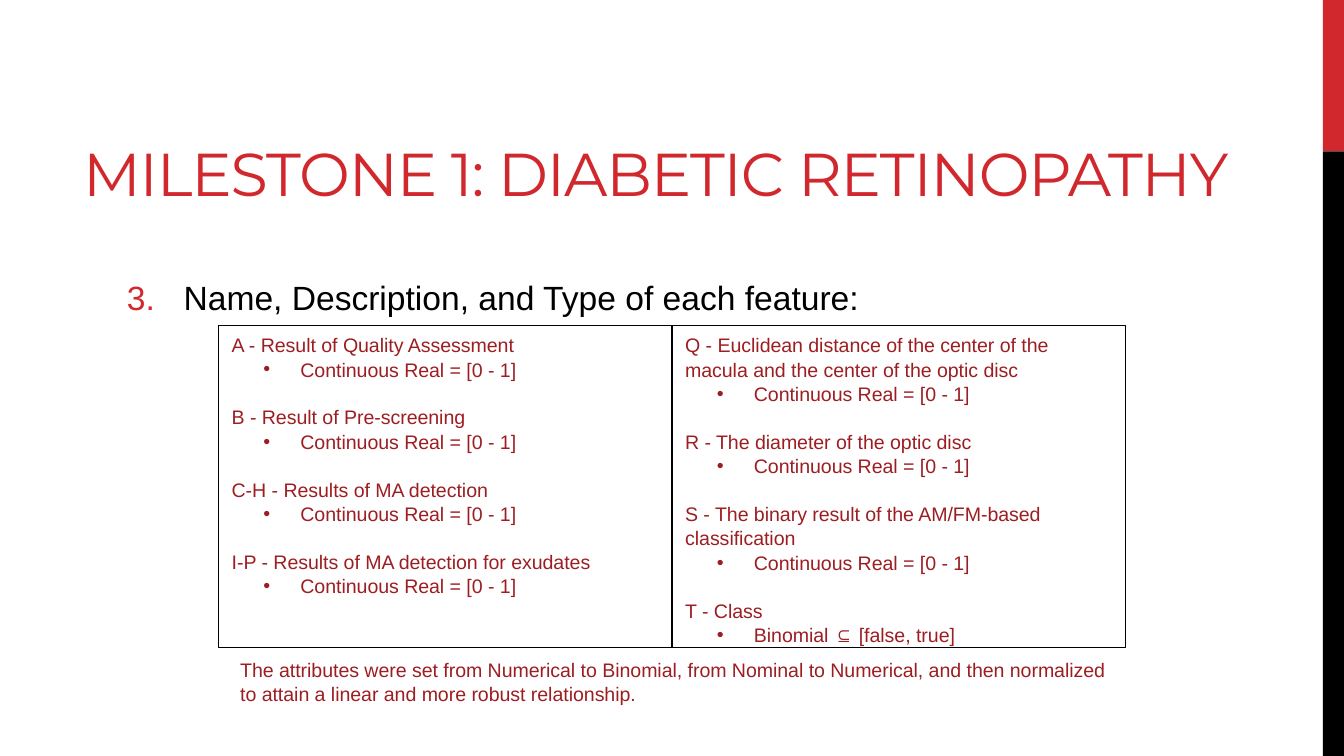
from dataclasses import dataclass

from lxml.etree import SubElement
from pptx import Presentation
from pptx.dml.color import RGBColor as Color
from pptx.enum.shapes import MSO_SHAPE as Shape
from pptx.enum.text import MSO_ANCHOR as Anchor, PP_ALIGN as Align
from pptx.oxml.ns import qn
from pptx.util import Cm, Pt


@dataclass(frozen=True)
class Theme:
    red: Color = Color(0xD1, 0x28, 0x2E)
    dark_red: Color = Color(0x9D, 0x1E, 0x22)
    black: Color = Color(0, 0, 0)
    heading_font: str = "Montserrat"
    body_font: str = "Arial"
    title_size: float = 32.4
    list_size: float = 18
    note_size: float = 10.5
    note_spacing: float = 1.04
    group_gap: float = 12.55


THEME = Theme()
REAL = "Continuous Real = [0 - 1]"
FEATURE_COLUMNS = [
    [
        ("A - Result of Quality Assessment", REAL),
        ("B - Result of Pre-screening", REAL),
        ("C-H - Results of MA detection", REAL),
        ("I-P - Results of MA detection for exudates", REAL),
    ],
    [
        ("Q - Euclidean distance of the center of the macula "
         "and the center of the optic disc", REAL),
        ("R - The diameter of the optic disc", REAL),
        ("S - The binary result of the AM/FM-based classification", REAL),
        ("T - Class", "Binomial ⊆ [false, true]"),
    ],
]
NOTE = ("The attributes were set from Numerical to Binomial, from Nominal to "
        "Numerical, and then normalized to attain a linear and more robust "
        "relationship.")


def place(box, left, top, width, height):
    box.left, box.top = Cm(left), Cm(top)
    box.width, box.height = Cm(width), Cm(height)


def set_frame(frame, anchor=Anchor.TOP, side=0.25, ends=0.13):
    frame.word_wrap = True
    frame.vertical_anchor = anchor
    frame.margin_left = frame.margin_right = Cm(side)
    frame.margin_top = frame.margin_bottom = Cm(ends)


def add_span(para, text, size, color, font=THEME.body_font):
    span = para.add_run()
    span.text = text
    span.font.size = Pt(size)
    span.font.name = font
    span.font.color.rgb = color
    return span


def add_bullet(para, margin, hang, color, kind, **attributes):
    """Give the paragraph a hanging bullet or number."""
    props = para._p.get_or_add_pPr()
    props.set("marL", str(Cm(margin)))
    props.set("indent", str(-Cm(hang)))
    tint = SubElement(props, qn("a:buClr"))
    SubElement(tint, qn("a:srgbClr"), val=str(color))
    SubElement(props, qn("a:buFont"), typeface=THEME.body_font)
    SubElement(props, qn(kind), **attributes)


def format_para(para, spacing=THEME.note_spacing, before=0):
    para.alignment = Align.LEFT
    para.line_spacing = spacing
    para.space_before = Pt(before)
    para.space_after = Pt(0)


def add_bar(slide, top, height, color):
    bar = slide.shapes.add_shape(
        Shape.RECTANGLE, Cm(25), Cm(top), Cm(0.4), Cm(height))
    bar.shadow.inherit = False
    bar.fill.solid()
    bar.fill.fore_color.rgb = color
    bar.line.fill.background()


def fill_title(title, text):
    place(title, 1.32, 2.06, 22.83, 2.13)
    set_frame(title.text_frame, Anchor.BOTTOM, ends=0.25)
    para = title.text_frame.paragraphs[0]
    format_para(para, spacing=1)
    span = add_span(para, text, THEME.title_size, THEME.red,
                    THEME.heading_font)
    span.font._element.set("spc", "-60")


def fill_body(body, text, number):
    place(body, 1.32, 4.9, 22.83, 7.52)
    set_frame(body.text_frame, ends=0.25)
    para = body.text_frame.paragraphs[0]
    para.level = 1
    add_bullet(para, 1.9, 1.07, THEME.red, "a:buAutoNum",
               type="arabicPeriod", startAt=str(number))
    format_para(para, spacing=1.1)
    add_span(para, text, THEME.list_size, THEME.black)


def add_feature_box(slide, left, features):
    box = slide.shapes.add_shape(
        Shape.RECTANGLE, Cm(left), Cm(6.15), Cm(8.57), Cm(6.09))
    box.shadow.inherit = False
    box.fill.background()
    box.line.color.rgb = THEME.black
    box.line.width = Pt(0.75)
    frame = box.text_frame
    set_frame(frame)
    for index, (name, values) in enumerate(features):
        # Feature name, set apart from the group above
        para = frame.add_paragraph() if index else frame.paragraphs[0]
        format_para(para, before=THEME.group_gap if index else 0)
        add_span(para, name, THEME.note_size, THEME.dark_red)
        # Feature type
        para = frame.add_paragraph()
        para.level = 1
        add_bullet(para, 1.3, 0.7, THEME.dark_red, "a:buChar", char="•")
        format_para(para)
        add_span(para, values, THEME.note_size, THEME.dark_red)


def add_note(slide, text):
    box = slide.shapes.add_textbox(Cm(4.29), Cm(12.29), Cm(17.15), Cm(1.6))
    set_frame(box.text_frame)
    para = box.text_frame.paragraphs[0]
    format_para(para)
    add_span(para, text, THEME.note_size, THEME.dark_red)


def main():
    deck = Presentation()
    deck.slide_width, deck.slide_height = Cm(25.4), Cm(14.29)
    page = deck.slides.add_slide(deck.slide_layouts[1])

    # Side band
    add_bar(page, 0, 2.86, THEME.red)
    add_bar(page, 2.86, 11.43, THEME.black)

    # Title and numbered heading
    fill_title(page.shapes.title, "MILESTONE 1: DIABETIC RETINOPATHY")
    fill_body(page.placeholders[1],
              "Name, Description, and Type of each feature:", 3)

    # Feature columns, side by side
    for column, features in enumerate(FEATURE_COLUMNS):
        add_feature_box(page, 4.13 + column * 8.57, features)

    add_note(page, NOTE)
    deck.save("out.pptx")


if __name__ == "__main__":
    main()
